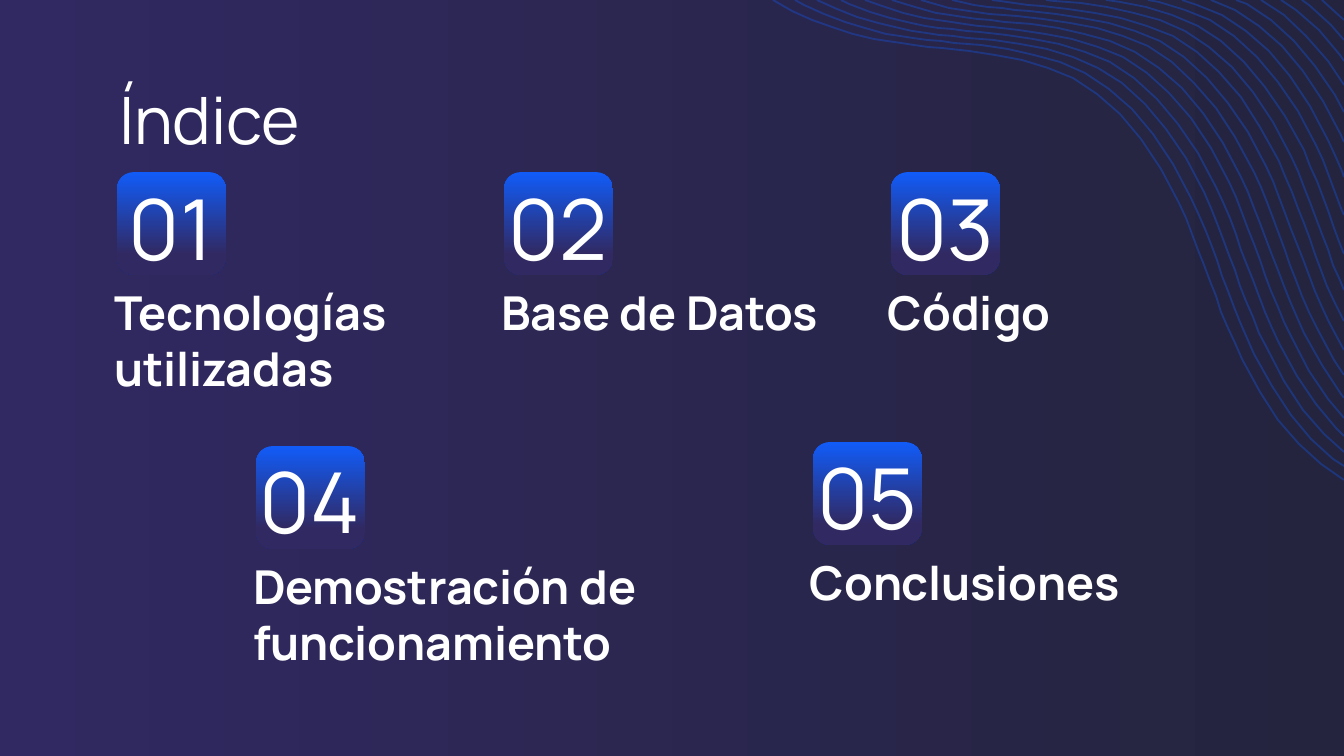
from lxml import etree
from pptx import Presentation
from pptx.dml.color import RGBColor
from pptx.enum.shapes import MSO_SHAPE
from pptx.enum.text import MSO_ANCHOR, PP_ALIGN
from pptx.oxml.ns import qn
from pptx.util import Pt

W, H = 1344, 756
PX = 9144000 / W
FONT = "Manrope"
COLORS = {"blue": "115CF9", "purple": "312962", "night": "24243E", "white": "FFFFFF"}
ROUNDED = MSO_SHAPE.ROUNDED_RECTANGLE
TOP = MSO_ANCHOR.TOP
LEFT, CENTER, JUSTIFY = PP_ALIGN.LEFT, PP_ALIGN.CENTER, PP_ALIGN.JUSTIFY

# Outermost wave as joined cubic curves: start, then two handles and a knot each
WAVE = [(773, 0), (804, 19), (839, 31), (874, 39), (896, 43), (919, 46), (942, 48),
        (986, 52), (1032, 58), (1073, 78), (1114, 101), (1150, 142), (1179, 203),
        (1191, 228), (1200, 255), (1210, 281), (1219, 306), (1229, 333), (1242, 359),
        (1270, 417), (1304, 457), (1344, 480)]
WAVE_COUNT, WAVE_DX, WAVE_DY = 19, 12.45, -5.25
STEPS = 5

# Number, label, badge left and top, label width, alignment
COLUMN_X = [117 + 387 * i for i in range(3)]
ITEMS = [
    ("01", "Tecnologías utilizadas", COLUMN_X[0], 172, 366, JUSTIFY),
    ("02", "Base de Datos", COLUMN_X[1], 172, 366, LEFT),
    ("03", "Código", COLUMN_X[2], 172, 366, LEFT),
    ("04", "Demostración de funcionamiento", 256, 446, 571, LEFT),
    ("05", "Conclusiones", 813, 442, 366, LEFT),
]


def px(n):
    return round(n * PX)


def rgb(name):
    return RGBColor.from_string(COLORS[name])


def set_gradient(fill, start, end, angle, end_position=1.0):
    fill.gradient()
    fill.gradient_angle = angle
    first, last = fill.gradient_stops
    first.color.rgb, first.position = rgb(start), 0
    last.color.rgb, last.position = rgb(end), end_position


def set_text(sp, text, size, bold=False, align=LEFT):
    tf = sp.text_frame
    tf.word_wrap = True
    tf.vertical_anchor = TOP
    tf.margin_left = tf.margin_right = tf.margin_top = tf.margin_bottom = px(13)
    p = tf.paragraphs[0]
    p.alignment = align
    r = p.add_run()
    r.text = text
    r.font.name, r.font.size, r.font.bold = FONT, Pt(size), bold
    r.font.color.rgb = rgb("white")


def add_text(s, x, y, w, h, text, **fmt):
    sp = s.shapes.add_textbox(px(x), px(y), px(w), px(h))
    set_text(sp, text, **fmt)


def add_title(s, x, y, w, h, text, **fmt):
    sp = s.shapes.title
    sp.left, sp.top, sp.width, sp.height = px(x), px(y), px(w), px(h)
    set_text(sp, text, **fmt)


def add_badge(s, x, y):
    sp = s.shapes.add_shape(ROUNDED, px(x), px(y), px(109), px(103))
    sp.adjustments[0] = 0.167
    sp.shadow.inherit = False
    set_gradient(sp.fill, "blue", "purple", 270, 0.8)
    sp.line.fill.background()


def sample_wave():
    points = [WAVE[0]]
    for i in range(0, len(WAVE) - 1, 3):
        for step in range(1, STEPS + 1):
            t = step / STEPS
            weights = ((1 - t) ** 3, 3 * t * (1 - t) ** 2, 3 * t * t * (1 - t), t ** 3)
            points.append(tuple(sum(k * pt[axis] for k, pt in zip(weights, WAVE[i:i + 4]))
                                for axis in (0, 1)))
    return points


def clip(points, dx, dy):
    """Shift a line and end it at the slide's top and right edges."""
    moved = [(x + dx, y + dy) for x, y in points]
    kept = []
    for (x0, y0), (x1, y1) in zip(moved, moved[1:]):
        start = max(0, -y0 / (y1 - y0))
        end = min(1, (W - x0) / (x1 - x0))
        if start < end:
            ends = [(x0 + t * (x1 - x0), y0 + t * (y1 - y0)) for t in (start, end)]
            kept += ends[1:] if kept else ends
    return kept


def add_wave(s, points):
    builder = s.shapes.build_freeform(*points[0], scale=PX)
    builder.add_line_segments(points[1:], close=False)
    sp = builder.convert_to_shape()
    sp.shadow.inherit = False
    sp.fill.background()
    sp.line.width = Pt(1)
    sp.line.color.rgb = rgb("blue")
    color = sp.line._ln.find(qn("a:solidFill")).find(qn("a:srgbClr"))
    etree.SubElement(color, qn("a:alpha")).set("val", "32000")


def main():
    prs = Presentation()
    prs.slide_width, prs.slide_height = px(W), px(H)
    s = prs.slides.add_slide(prs.slide_layouts[5])
    set_gradient(s.background.fill, "night", "purple", 180)

    # Corner waves
    points = sample_wave()
    for i in range(WAVE_COUNT):
        add_wave(s, clip(points, i * WAVE_DX, i * WAVE_DY))

    # Heading
    add_title(s, 106, 66, 1133, 84, "Índice", size=35)

    # Numbered index entries
    for number, label, x, y, width, align in ITEMS:
        add_badge(s, x, y)
        add_text(s, x - 16, y - 9, 140, 113, number, size=45, align=CENTER)
        add_text(s, x - 16, y + 99, width, 78, label, size=25, bold=True, align=align)

    prs.save("out.pptx")


if __name__ == "__main__":
    main()
